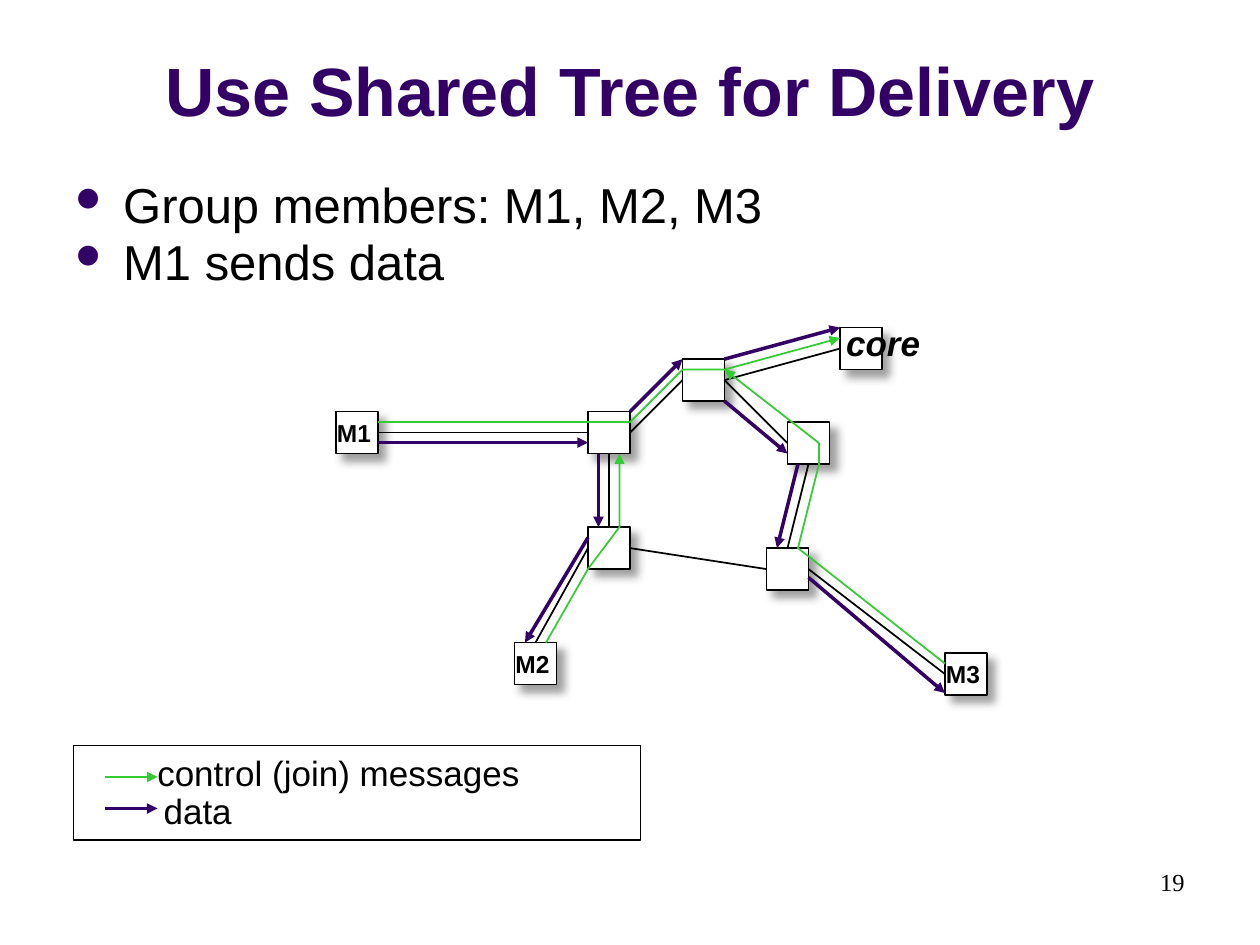
"""Build a slide showing data delivery over a shared multicast tree."""
from dataclasses import dataclass
from typing import Optional

import lxml.etree
import pptx
import pptx.dml.color
import pptx.enum.shapes
import pptx.enum.text
import pptx.oxml
import pptx.oxml.ns
import pptx.util

RGBColor = pptx.dml.color.RGBColor
PP_ALIGN = pptx.enum.text.PP_ALIGN
MSO_ANCHOR = pptx.enum.text.MSO_ANCHOR
qn = pptx.oxml.ns.qn

BLACK = RGBColor(0x00, 0x00, 0x00)
WHITE = RGBColor(0xFF, 0xFF, 0xFF)
PURPLE = RGBColor(0x33, 0x00, 0x66)
GREEN = RGBColor(0x33, 0xCC, 0x33)

WIDTH, HEIGHT = pptx.util.Inches(10), pptx.util.Inches(7.5)
CELL = WIDTH // 120
TOP = pptx.util.Inches(2.6)
NODE = 4
RIGHT_SIDE, LEFT_SIDE, TOP_SIDE, BOTTOM_SIDE = 3, 1, 0, 2
SHADOW = (
    '<a:effectLst xmlns:a="http://schemas.openxmlformats.org/drawingml/2006/main">'
    '<a:outerShdw blurRad="63500" dist="72390" dir="2700000" algn="ctr" rotWithShape="0">'
    '<a:srgbClr val="808080"><a:alpha val="75000"/></a:srgbClr>'
    '</a:outerShdw></a:effectLst>'
)


@dataclass(frozen=True)
class Node:
    name: str
    col: float
    row: float
    label: Optional[str] = None


@dataclass(frozen=True)
class Link:
    start: str
    start_side: int
    end: str
    end_side: int


@dataclass(frozen=True)
class Arrow:
    start: tuple
    end: tuple
    color: RGBColor = PURPLE
    weight: float = 2


@dataclass(frozen=True)
class Style:
    size: float
    color: RGBColor = BLACK
    bold: bool = False
    italic: bool = False
    font: str = "Arial"


NODES = [
    Node("west", 56, 8), Node("southwest", 56, 19), Node("southeast", 73, 21),
    Node("east", 75, 9), Node("north", 65, 3), Node("m2", 49, 30, "M2"),
    Node("m3", 90, 31, "M3"), Node("m1", 32, 8, "M1"), Node("core", 80, 0),
]
LINKS = [
    Link("north", RIGHT_SIDE, "core", LEFT_SIDE),
    Link("north", RIGHT_SIDE, "east", LEFT_SIDE),
    Link("north", LEFT_SIDE, "west", RIGHT_SIDE),
    Link("west", BOTTOM_SIDE, "southwest", TOP_SIDE),
    Link("southwest", RIGHT_SIDE, "southeast", LEFT_SIDE),
    Link("southeast", TOP_SIDE, "east", BOTTOM_SIDE),
    Link("m1", RIGHT_SIDE, "west", LEFT_SIDE),
    Link("m2", TOP_SIDE, "southwest", LEFT_SIDE),
    Link("m3", LEFT_SIDE, "southeast", RIGHT_SIDE),
]
JOINS = [
    [(36, 9), (60, 9), (65, 4), (69, 4), (80, 1)],
    [(52, 30), (56, 23), (59, 19), (59, 12)],
    [(90, 32), (76, 21), (78, 13), (78, 11), (69, 4)],
]
ARROWS = [
    Arrow((36, 10.95), (56, 10.95)), Arrow((57, 12), (57, 19)),
    Arrow((56, 20), (50, 30)), Arrow((60, 8), (65, 3)),
    Arrow((69, 7), (75, 12)), Arrow((76, 13), (74, 21)),
    Arrow((77, 23.8), (90, 34.8)), Arrow((69, 3), (80, 0)),
    Arrow((10, 42.8), (15, 42.8), GREEN, 1), Arrow((10, 45.8), (15, 45.8)),
]


def grid(col: float, row: float) -> tuple:
    """Return the slide position of a grid point."""
    return round(col * CELL), round(TOP + row * CELL)


def share(x: float, y: float, w: float, h: float) -> tuple:
    """Return a box given as shares of the slide's size."""
    return round(x * WIDTH), round(y * HEIGHT), round(w * WIDTH), round(h * HEIGHT)


def cells(col: float, row: float, cols: float, rows: float) -> tuple:
    """Return a box given in grid columns and rows."""
    return (*grid(col, row), round(cols * CELL), round(rows * CELL))


def add_run(p, text: str, style: Style) -> None:
    """Append a styled run to a paragraph."""
    r = p.add_run()
    r.text = text
    r.font.name, r.font.size = style.font, pptx.util.Pt(style.size)
    r.font.bold, r.font.italic = style.bold, style.italic
    r.font.color.rgb = style.color


def add_text(s, box: tuple, text: str, style: Style, align=PP_ALIGN.LEFT,
             anchor=MSO_ANCHOR.TOP, wrap: bool = False) -> None:
    """Add a text box with one paragraph."""
    tf = s.shapes.add_textbox(*box).text_frame
    tf.word_wrap, tf.vertical_anchor = wrap, anchor
    if not wrap:
        tf.auto_size = pptx.enum.text.MSO_AUTO_SIZE.SHAPE_TO_FIT_TEXT
    p = tf.paragraphs[0]
    p.alignment = align
    add_run(p, text, style)


def add_bullets(s, box: tuple, items: list, style: Style) -> None:
    """Add a bulleted list."""
    tf = s.shapes.add_textbox(*box).text_frame
    tf.word_wrap = True
    for i, item in enumerate(items):
        p = tf.add_paragraph() if i else tf.paragraphs[0]
        p.line_spacing, p.space_before = 0.8, pptx.util.Pt(5.6)
        pPr = p._p.get_or_add_pPr()
        indent = pptx.util.Inches(0.38)
        pPr.set("marL", str(indent))
        pPr.set("indent", str(-indent))
        color = lxml.etree.SubElement(pPr, qn("a:buClr"))
        lxml.etree.SubElement(color, qn("a:srgbClr"), val=str(PURPLE))
        lxml.etree.SubElement(pPr, qn("a:buSzPct"), val="70000")
        lxml.etree.SubElement(pPr, qn("a:buFont"), typeface="Wingdings", charset="2")
        lxml.etree.SubElement(pPr, qn("a:buChar"), char="l")
        add_run(p, item, style)


def set_line(shape, color: RGBColor, weight: float, arrow: bool = False) -> None:
    """Style a line and optionally end it with an arrowhead."""
    shape.line.color.rgb, shape.line.width = color, pptx.util.Pt(weight)
    if arrow:
        ln = shape.line._get_or_add_ln()
        lxml.etree.SubElement(ln, qn("a:tailEnd"), type="triangle")


def add_rect(s, box: tuple):
    """Add an unfilled, black-edged rectangle."""
    sp = s.shapes.add_shape(pptx.enum.shapes.MSO_SHAPE.RECTANGLE, *box)
    sp.shadow.inherit = False
    sp.fill.background()
    set_line(sp, BLACK, 1)
    return sp


def add_node(s, node: Node):
    """Add a white router square with a drop shadow."""
    sp = add_rect(s, cells(node.col, node.row, NODE, NODE))
    sp.fill.solid()
    sp.fill.fore_color.rgb = WHITE
    spPr = sp._element.spPr
    spPr.replace(spPr.find(qn("a:effectLst")), pptx.oxml.parse_xml(SHADOW))
    return sp


def add_line(s, start: tuple, end: tuple, color: RGBColor, weight: float, arrow: bool = False):
    """Add a straight connector between two grid points."""
    kind = pptx.enum.shapes.MSO_CONNECTOR.STRAIGHT
    c = s.shapes.add_connector(kind, *grid(*start), *grid(*end))
    set_line(c, color, weight, arrow)
    lxml.etree.SubElement(c._element.spPr, qn("a:effectLst"))
    return c


def add_link(s, link: Link, squares: dict) -> None:
    """Join the sides of two nodes."""
    c = add_line(s, (0, 0), (1, 1), BLACK, 1)
    c.begin_connect(squares[link.start], link.start_side)
    c.end_connect(squares[link.end], link.end_side)


def add_join(s, points: list) -> None:
    """Add the bent route of a join message."""
    start, *rest = [grid(*point) for point in points]
    builder = s.shapes.build_freeform(*start)
    builder.add_line_segments(rest, close=False)
    sp = builder.convert_to_shape()
    sp.shadow.inherit = False
    sp.fill.background()
    set_line(sp, GREEN, 1, arrow=True)


def main() -> None:
    """Build and save the slide."""
    prs = pptx.Presentation()
    prs.slide_width, prs.slide_height = WIDTH, HEIGHT
    s = prs.slides.add_slide(prs.slide_layouts[6])
    add_text(s, share(0, 0.02, 1, 0.124), "Use Shared Tree for Delivery",
             Style(39, PURPLE, bold=True), PP_ALIGN.CENTER, MSO_ANCHOR.BOTTOM, True)
    add_bullets(s, share(0.05, 0.19, 0.93, 0.7),
                ["Group members: M1, M2, M3", "M1 sends data"], Style(28))
    add_text(s, share(0.72, 0.911, 0.23, 0.07), "19",
             Style(14, font="Times New Roman"), PP_ALIGN.RIGHT, wrap=True)
    squares = {node.name: add_node(s, node) for node in NODES}
    for link in LINKS:
        add_link(s, link, squares)
    add_text(s, cells(79.4, -1.2, 10.4, 5.2), "core", Style(20, bold=True, italic=True))
    for points in JOINS:
        add_join(s, points)
    for node in NODES:
        if node.label:
            add_text(s, cells(node.col - 1.1, node.row, 5.7, NODE), node.label, Style(14, bold=True))
    for a in ARROWS:
        add_line(s, a.start, a.end, a.color, a.weight, arrow=True)
    add_text(s, cells(13.8, 39.8, 37.2, 5.2), "control (join) messages", Style(20))
    add_text(s, cells(14.4, 43.4, 9, 5.2), "data", Style(20))
    add_rect(s, cells(7, 39.8, 54, 9))
    prs.save("out.pptx")


if __name__ == "__main__":
    main()
